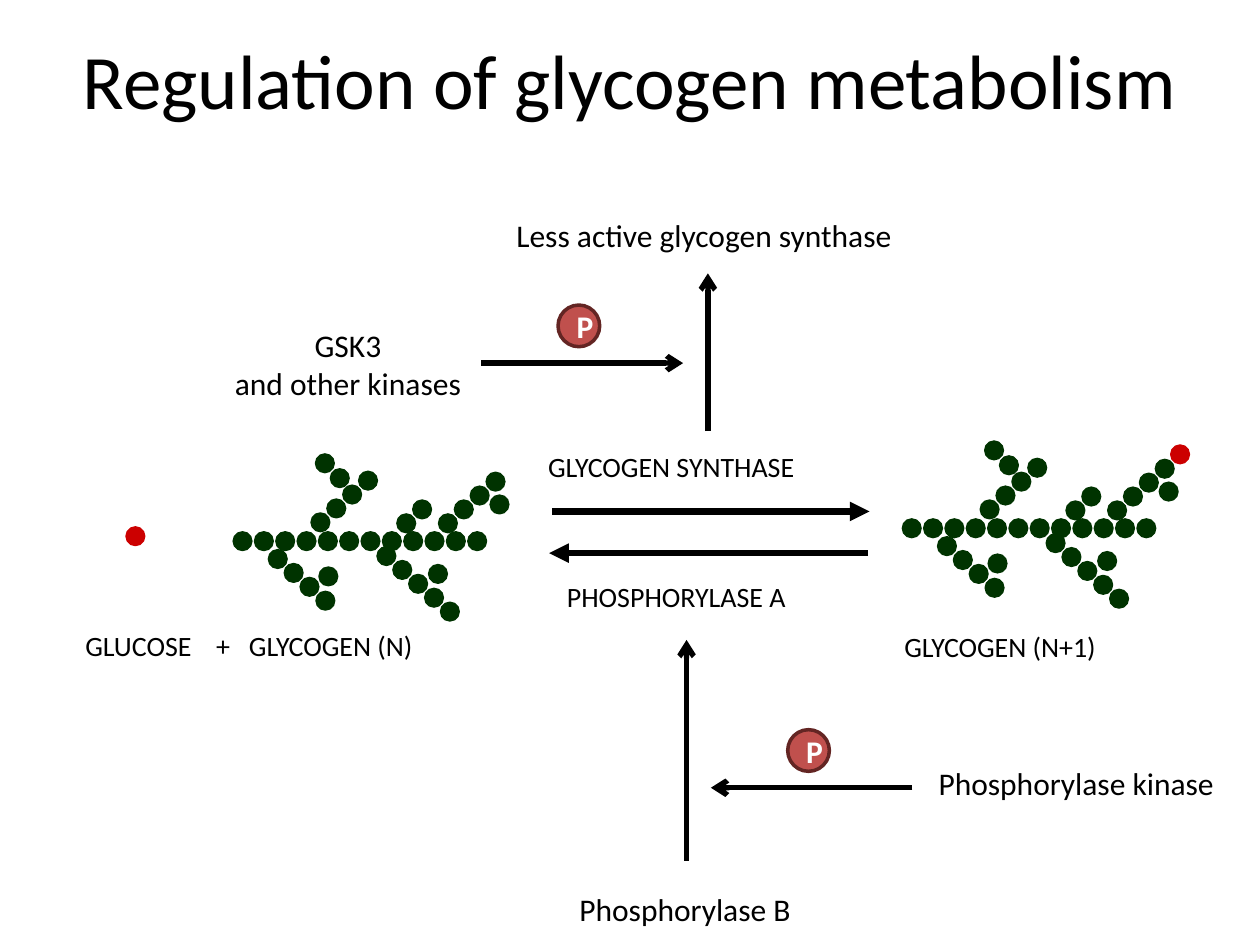
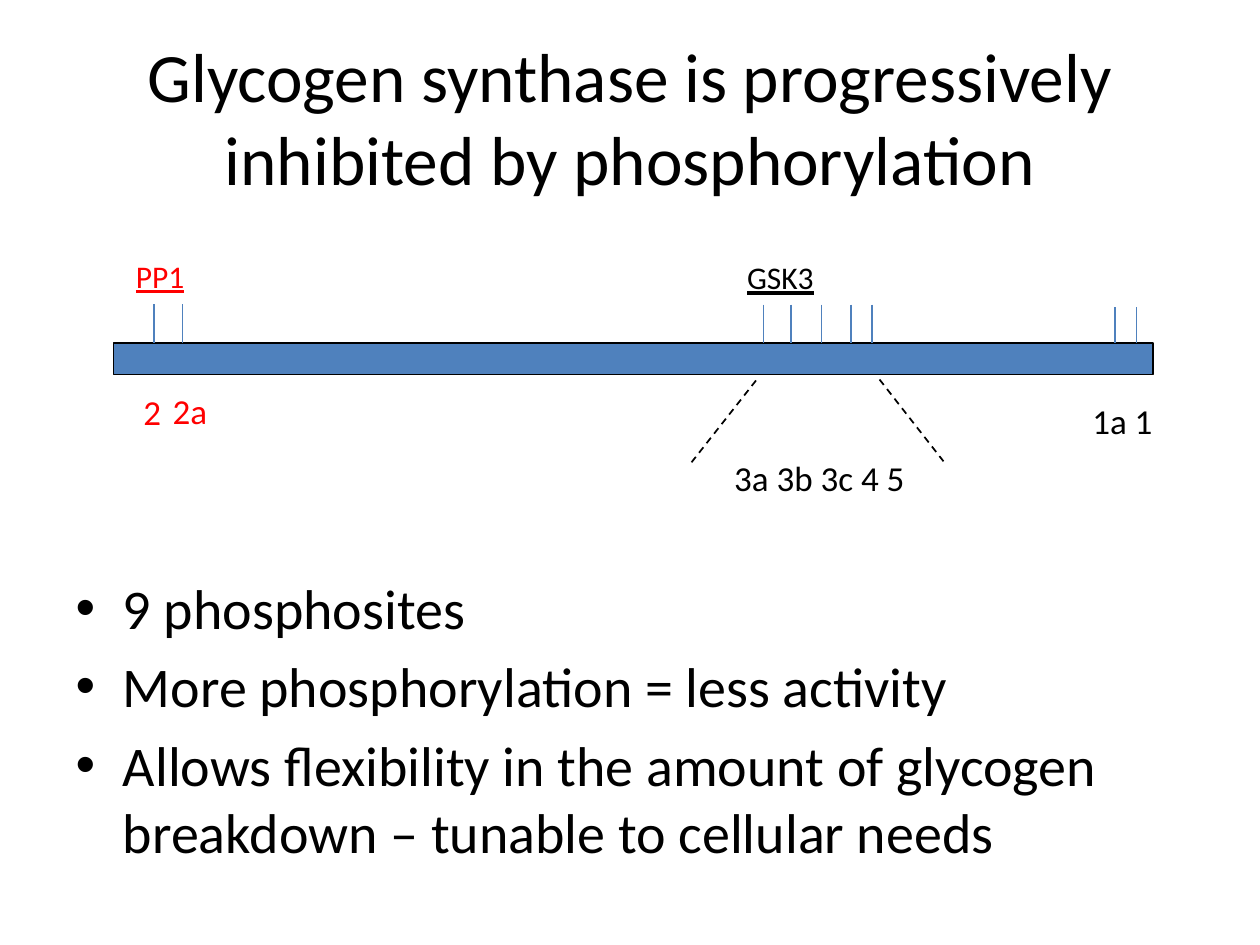
from dataclasses import dataclass

import pptx
import pptx.dml.color
import pptx.enum.dml
import pptx.enum.shapes
import pptx.enum.text
import pptx.oxml
import pptx.oxml.ns
import pptx.util
from pptx.util import Cm, Pt

SHAPES = pptx.enum.shapes.MSO_SHAPE
ALIGN = pptx.enum.text.PP_ALIGN
AUTO_SIZE = pptx.enum.text.MSO_AUTO_SIZE
ANCHOR = pptx.enum.text.MSO_ANCHOR
TITLE_AND_CONTENT, TITLE_ONLY = 1, 5


@dataclass(frozen=True)
class Theme:
    font: str = "Calibri"
    black: str = "000000"
    white: str = "FFFFFF"
    red: str = "FF0000"
    glucose: str = "CC0000"
    glycogen: str = "003300"
    phosphate: str = "C0504D"
    phosphate_edge: str = "632523"
    protein: str = "4F81BD"
    title: float = 44
    long_title: float = 39.6
    body: float = 32
    site: float = 20
    label: float = 18
    reaction: float = 16


THEME = Theme()

# All positions and lengths below are in centimetres.

METABOLISM_TITLE = "Regulation of glycogen metabolism"
# lines, left, top, width, height
REACTION_LABELS = [
    (["GLUCOSE\t+\tGLYCOGEN (N)"], 1.47, 12.55, 8.92, 0.91),
    (["GLYCOGEN (N+1)"], 17.98, 12.57, 5.56, 0.91),
    (["GLYCOGEN SYNTHASE"], 10.8, 8.94, 6.96, 0.91),
    (["PHOSPHORYLASE A"], 11.18, 11.56, 6.17, 0.91),
]
SUBSTRATE_TABS = [2.64, 3.3]
REGULATOR_LABELS = [
    (["Phosphorylase B"], 11.43, 17.81, 4.83, 1.02),
    (["Phosphorylase kinase"], 18.67, 15.27, 6.12, 1.02),
    (["GSK3", "and other kinases"], 4.45, 6.45, 5.13, 1.8),
    (["Less active glycogen synthase"], 10.16, 4.24, 8.18, 1.02),
]
# start x, start y, end x, end y
REACTION_ARROWS = [
    (11.13, 10.31, 17.53, 10.31),
    (17.5, 11.15, 11.07, 11.15),
]
REGULATION_ARROWS = [
    (13.84, 17.35, 13.84, 12.9),
    (18.39, 15.88, 14.33, 15.88),
    (14.27, 8.69, 14.27, 5.51),
    (9.7, 7.32, 13.77, 7.32),
]
PHOSPHATES = [(15.88, 14.71), (11.25, 6.15)]
PHOSPHATE_SIZE = 0.84

UNIT_SIZE = 0.38
GLUCOSE_UNITS = [(2.54, 10.62), (23.6, 8.97)]
GLYCOGEN_MOLECULES = [(4.7, 10.72), (18.19, 10.46)]
ALONG, DOWN, UP, BACK = (0.43, 0), (0.32, 0.28), (0.32, -0.28), (-0.3, -0.3)
# start relative to the first unit, step, number of units
GLYCOGEN_CHAINS = [
    ((0, 0), ALONG, 12),
    ((0.71, 0.36), DOWN, 4),
    ((2.9, 0.3), DOWN, 5),
    ((1.57, -0.38), UP, 4),
    ((4.14, -0.36), UP, 4),
    ((3.3, -0.36), UP, 2),
    ((1.96, -1.27), BACK, 2),
    ((1.73, 0.71), ALONG, 1),
    ((5.18, -0.74), ALONG, 1),
    ((3.94, 0.66), ALONG, 1),
]

PHOSPHORYLATION_TITLE = "Glycogen synthase is progressively inhibited by phosphorylation"
BULLETS = [
    "9 phosphosites",
    "More phosphorylation = less activity",
    "Allows flexibility in the amount of glycogen breakdown – tunable to cellular needs",
]
PROTEIN_BAR = (2.29, 6.91, 20.96, 0.64)
# top of the ticks, tick positions
SITE_TICKS = [
    (6.13, [3.1, 3.68]),
    (6.14, [15.39, 15.95, 16.56, 17.15, 17.58]),
    (6.19, [22.48, 22.91]),
]
ZOOM_LINES = [(15.24, 7.67, 13.94, 9.32), (17.73, 7.65, 19.02, 9.3)]
ENZYME_LABELS = [
    ("PP1", THEME.red, 2.49, 5.05, 2.11, 1.27),
    ("GSK3", THEME.black, 14.81, 5.08, 2.82, 1.27),
]
SITE_LABELS = [
    ("2", THEME.red, 2.64, 7.75, 0.91, 1.09),
    ("2a", THEME.red, 3.23, 7.72, 1.3, 1.09),
    ("3a 3b 3c 4 5", THEME.black, 14.55, 9.07, 4.47, 1.09),
    ("1a 1", THEME.black, 21.77, 7.92, 1.88, 1.09),
]


def rgb(color):
    return pptx.dml.color.RGBColor.from_string(color)


def place(shape, left, top, width, height):
    shape.left, shape.top = Cm(left), Cm(top)
    shape.width, shape.height = Cm(width), Cm(height)


def write(text_frame, lines, size, color=THEME.black, align=None, bold=None, underline=None):
    for index, line in enumerate(lines):
        paragraph = text_frame.add_paragraph() if index else text_frame.paragraphs[0]
        paragraph.alignment = align
        run = paragraph.add_run()
        run.text = line
        font = run.font
        font.name, font.size, font.color.rgb = THEME.font, Pt(size), rgb(color)
        font.bold, font.underline = bold, underline


def add_titled_slide(presentation, layout, title, top, size):
    slide = presentation.slides.add_slide(presentation.slide_layouts[layout])
    place(slide.shapes.title, 1.27, top, 22.86, 3.18)
    text_frame = slide.shapes.title.text_frame
    text_frame.auto_size = AUTO_SIZE.NONE
    text_frame.vertical_anchor = ANCHOR.MIDDLE
    write(text_frame, [title], size, align=ALIGN.CENTER)
    return slide


def add_label(slide, lines, box, size, color=THEME.black, underline=None):
    text_box = slide.shapes.add_textbox(*map(Cm, box))
    text_frame = text_box.text_frame
    text_frame.word_wrap = False
    text_frame.auto_size = AUTO_SIZE.SHAPE_TO_FIT_TEXT
    align = ALIGN.CENTER if len(lines) > 1 else ALIGN.LEFT
    write(text_frame, lines, size, color, align, underline=underline)
    return text_frame


def set_tab_stops(text_frame, stops):
    text_frame.word_wrap = True
    properties = text_frame.paragraphs[0]._p.get_or_add_pPr()
    tab_list = pptx.oxml.ns.qn("a:tabLst")
    tab_list = properties.makeelement(tab_list, {})
    properties.append(tab_list)
    for stop in stops:
        tab = tab_list.makeelement(pptx.oxml.ns.qn("a:tab"), {"pos": str(Cm(stop)), "algn": "l"})
        tab_list.append(tab)


def add_filled(slide, kind, box, fill, edge, edge_width):
    shape = slide.shapes.add_shape(kind, *map(Cm, box))
    shape.shadow.inherit = False
    shape.fill.solid()
    shape.fill.fore_color.rgb = rgb(fill)
    shape.line.color.rgb = rgb(edge)
    shape.line.width = Pt(edge_width)
    return shape


def add_line(slide, ends, width, color=THEME.black, arrowhead=None, dashed=False):
    straight = pptx.enum.shapes.MSO_CONNECTOR.STRAIGHT
    connector = slide.shapes.add_connector(straight, *map(Cm, ends))
    connector.line.color.rgb = rgb(color)
    connector.line.width = Pt(width)
    if dashed:
        connector.line.dash_style = pptx.enum.dml.MSO_LINE.DASH
    properties = connector._element.spPr
    if arrowhead:
        outline = connector.line._get_or_add_ln()
        tail = outline.makeelement(pptx.oxml.ns.qn("a:tailEnd"), {"type": arrowhead})
        outline.append(tail)
    properties.append(properties.makeelement(pptx.oxml.ns.qn("a:effectLst"), {}))


def add_sugar_unit(slide, x, y, color):
    add_filled(slide, SHAPES.OVAL, (x, y, UNIT_SIZE, UNIT_SIZE), color, color, 0.75)


def add_glycogen(slide, left, top):
    for (x, y), (step_x, step_y), count in GLYCOGEN_CHAINS:
        for index in range(count):
            add_sugar_unit(slide, left + x + index * step_x, top + y + index * step_y,
                           THEME.glycogen)


def add_phosphate(slide, x, y):
    box = (x, y, PHOSPHATE_SIZE, PHOSPHATE_SIZE)
    circle = add_filled(slide, SHAPES.FLOWCHART_CONNECTOR, box,
                        THEME.phosphate, THEME.phosphate_edge, 2)
    circle.text_frame.vertical_anchor = ANCHOR.MIDDLE
    write(circle.text_frame, ["P"], THEME.label, THEME.white, ALIGN.CENTER, bold=True)


def build_metabolism(presentation):
    slide = add_titled_slide(presentation, TITLE_ONLY, METABOLISM_TITLE, 0, THEME.title)
    for lines, *box in REACTION_LABELS:
        text_frame = add_label(slide, lines, box, THEME.reaction)
        if "\t" in lines[0]:
            set_tab_stops(text_frame, SUBSTRATE_TABS)
    for position in GLYCOGEN_MOLECULES:
        add_glycogen(slide, *position)
    for position in GLUCOSE_UNITS:
        add_sugar_unit(slide, *position, THEME.glucose)
    for ends in REACTION_ARROWS:
        add_line(slide, ends, 3.75, arrowhead="triangle")
    for ends in REGULATION_ARROWS:
        add_line(slide, ends, 3, arrowhead="arrow")
    for position in PHOSPHATES:
        add_phosphate(slide, *position)
    for lines, *box in REGULATOR_LABELS:
        add_label(slide, lines, box, THEME.label)


def build_phosphorylation(presentation):
    slide = add_titled_slide(presentation, TITLE_AND_CONTENT, PHOSPHORYLATION_TITLE,
                             0.76, THEME.long_title)
    body = slide.placeholders[1]
    place(body, 1.27, 11.43, 22.86, 6.22)
    body.text_frame.auto_size = AUTO_SIZE.NONE
    write(body.text_frame, BULLETS, THEME.body)
    add_filled(slide, SHAPES.RECTANGLE, PROTEIN_BAR, THEME.protein, THEME.black, 1)
    bar_top = PROTEIN_BAR[1]
    for tick_top, positions in SITE_TICKS:
        for x in positions:
            add_line(slide, (x, tick_top, x, bar_top), 1, THEME.protein)
    for ends in ZOOM_LINES:
        add_line(slide, ends, 1, dashed=True)
    for text, color, *box in ENZYME_LABELS:
        add_label(slide, [text], box, THEME.label, color, underline=True)
    for text, color, *box in SITE_LABELS:
        add_label(slide, [text], box, THEME.site, color)


def main():
    presentation = pptx.Presentation()
    presentation.slide_width, presentation.slide_height = Cm(25.4), Cm(19.05)
    build_metabolism(presentation)
    build_phosphorylation(presentation)
    presentation.save("out.pptx")


if __name__ == "__main__":
    main()
